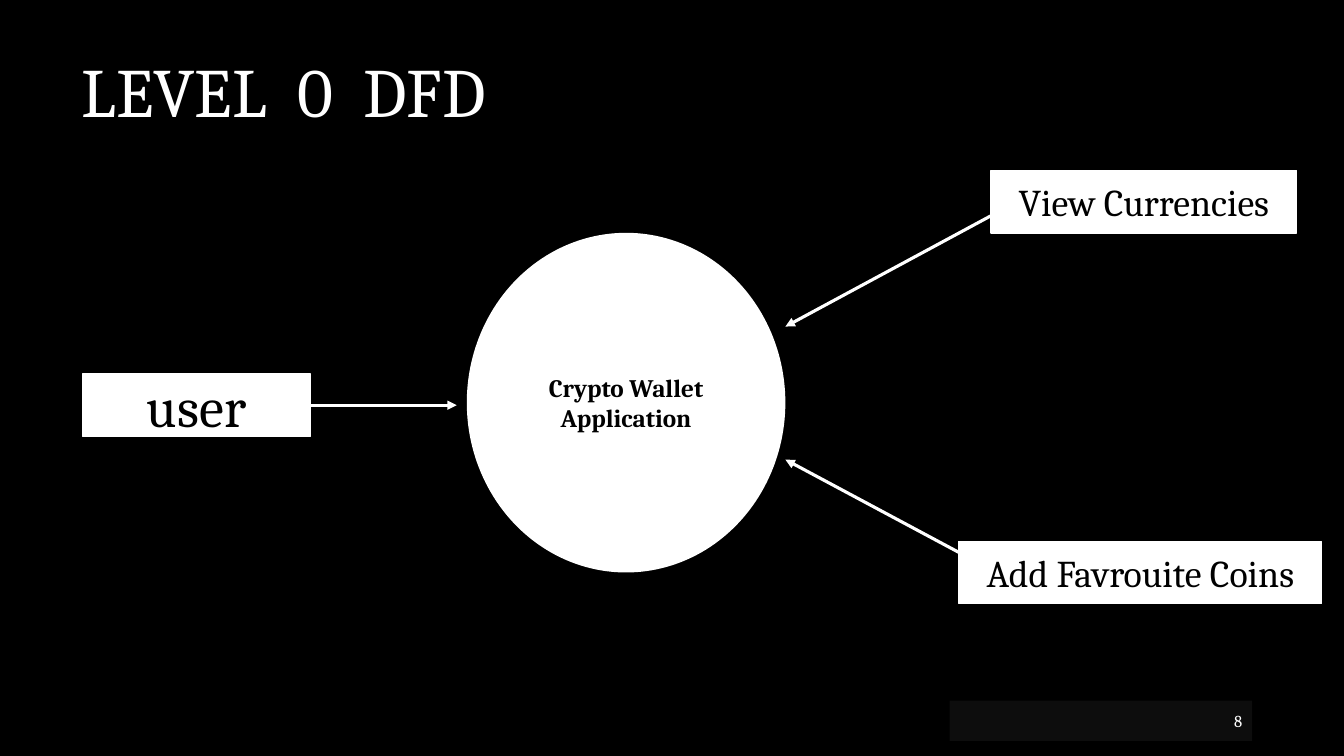
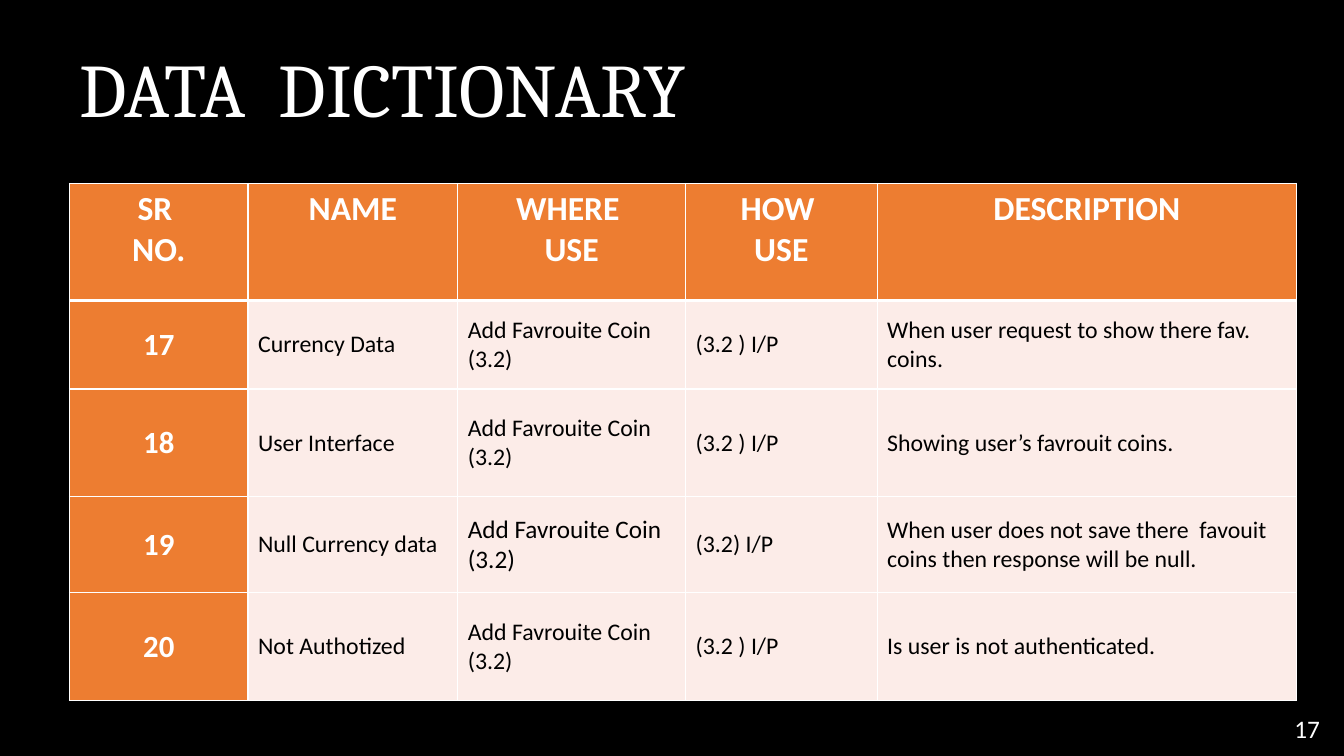
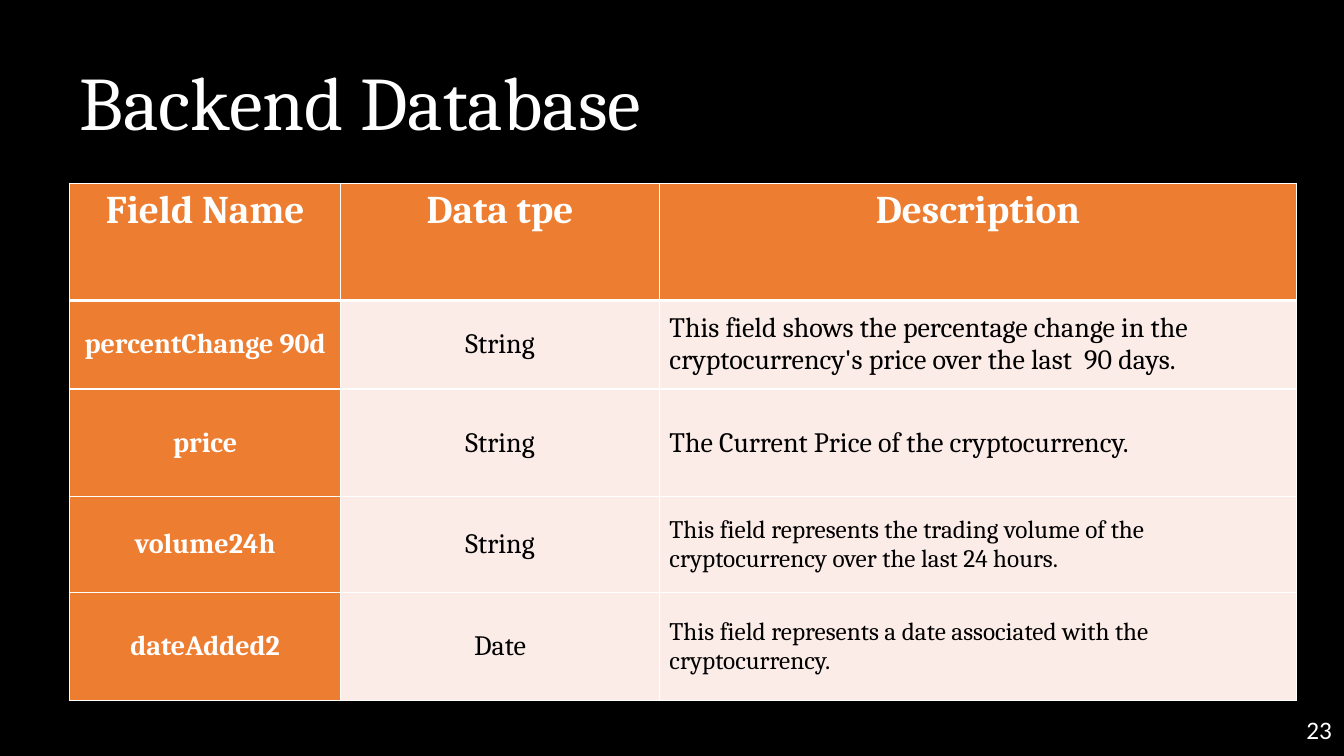
from dataclasses import dataclass

import lxml.etree
import pptx
import pptx.dml.color
import pptx.enum.shapes
import pptx.enum.text
import pptx.oxml.ns
import pptx.util

Inches = pptx.util.Inches
Pt = pptx.util.Pt
ALIGN = pptx.enum.text.PP_ALIGN
ANCHOR = pptx.enum.text.MSO_ANCHOR
SHAPE = pptx.enum.shapes.MSO_SHAPE


@dataclass(frozen=True)
class Theme:
    black: str = "000000"
    white: str = "FFFFFF"
    footer: str = "0D0D0D"
    orange: str = "ED7D31"
    blush: str = "FCECE8"
    serif: str = "Cambria"
    sans: str = "Calibri"
    title: float = 54
    title_small: float = 49.5
    user: float = 40
    label: float = 27
    process: float = 18
    page: float = 18
    page_small: float = 12
    grid: float = 1
    header_rule: float = 3
    arrow: float = 2.25


T = Theme()
TABLE_AT = (0.69, 1.82)
ROW_HEIGHTS = (1.16, 0.88, 1.07, 0.95, 1.07)
BOX_HEIGHT = 0.62


def rgb(value):
    return pptx.dml.color.RGBColor.from_string(value)


def add_xml(parent, tag, **attributes):
    return lxml.etree.SubElement(parent, pptx.oxml.ns.qn(tag), attributes)


def write(tf, text, size, color, font=T.serif, bold=False, align=ALIGN.LEFT, spacing=None):
    tf.word_wrap = True
    for i, line in enumerate(text.split("\n")):
        p = tf.paragraphs[0] if i == 0 else tf.add_paragraph()
        p.text = line
        p.alignment = align
        if spacing:
            p.line_spacing = spacing
        p.font.size = Pt(size)
        p.font.name = font
        p.font.bold = bold
        p.font.color.rgb = rgb(color)


def add_slide(prs):
    s = prs.slides.add_slide(prs.slide_layouts[6])
    s.background.fill.solid()
    s.background.fill.fore_color.rgb = rgb(T.black)
    return s


def add_title(s, text, at, size=T.title):
    tf = s.shapes.add_textbox(*map(Inches, at)).text_frame
    tf.vertical_anchor = ANCHOR.MIDDLE
    write(tf, text, size, T.white, spacing=0.9)


def add_page_number(s, text, left, top):
    tf = s.shapes.add_textbox(*map(Inches, (left, top, 0.47, 0.47))).text_frame
    write(tf, text, T.page, T.white, T.sans)


def add_block(s, kind, at, text, size, fill=T.white, color=T.black, line=None,
              bold=False, align=ALIGN.CENTER):
    sp = s.shapes.add_shape(kind, *map(Inches, at))
    sp.shadow.inherit = False
    sp.fill.solid()
    sp.fill.fore_color.rgb = rgb(fill)
    if line:
        sp.line.color.rgb = rgb(line)
        sp.line.width = Pt(1)
    else:
        sp.line.fill.background()
    sp.text_frame.vertical_anchor = ANCHOR.MIDDLE
    write(sp.text_frame, text, size, color, bold=bold, align=align)
    return sp


def add_entity(s, left, top, width, text, size=T.label):
    return add_block(s, SHAPE.RECTANGLE, (left, top, width, BOX_HEIGHT), text, size, line=T.white)


def add_arrow(s, start, end):
    c = s.shapes.add_connector(pptx.enum.shapes.MSO_CONNECTOR.STRAIGHT,
                               *map(Inches, start + end))
    c.line.color.rgb = rgb(T.white)
    c.line.width = Pt(T.arrow)
    add_xml(c.line._get_or_add_ln(), "a:tailEnd", type="triangle")
    add_xml(c._element.spPr, "a:effectLst")
    return c


def set_borders(cell, row):
    tc_pr = cell._tc.get_or_add_tcPr()
    heavy = {0: "B", 1: "T"}.get(row)
    for side in "LRTB":
        width = T.header_rule if side == heavy else T.grid
        ln = add_xml(tc_pr, f"a:ln{side}", w=str(Pt(width)))
        add_xml(add_xml(ln, "a:solidFill"), "a:srgbClr", val=T.white)


def add_grid(s, widths, rows, font, header_size, key_size, body_size, centered=(0,), sizes=None):
    sizes = sizes or {}
    frame = s.shapes.add_table(len(rows), len(widths), *map(
        Inches, TABLE_AT + (sum(widths), sum(ROW_HEIGHTS))))
    table = frame.table
    for column, width in zip(table.columns, widths):
        column.width = Inches(width)
    for row, height in zip(table.rows, ROW_HEIGHTS):
        row.height = Inches(height)
    for i, texts in enumerate(rows):
        for j, text in enumerate(texts):
            cell = table.cell(i, j)
            strong = i == 0 or j == 0
            size = header_size if i == 0 else key_size if j == 0 else body_size
            set_borders(cell, i)
            cell.fill.solid()
            cell.fill.fore_color.rgb = rgb(T.orange if strong else T.blush)
            cell.vertical_anchor = ANCHOR.TOP if i == 0 else ANCHOR.MIDDLE
            write(cell.text_frame, text, sizes.get((i, j), size),
                  T.white if strong else T.black, font, strong,
                  ALIGN.CENTER if i == 0 or j in centered else ALIGN.LEFT)


def build_dfd(prs):
    s = add_slide(prs)
    add_title(s, "LEVEL  0  DFD", (0.71, 0.71, 12.39, 0.47), T.title_small)
    add_block(s, SHAPE.RECTANGLE, (9.42, 6.95, 3, 0.4), "8", T.page_small,
              T.footer, T.white, align=ALIGN.RIGHT)
    add_block(s, SHAPE.OVAL, (4.63, 2.31, 3.16, 3.37), "Crypto Wallet\nApplication",
              T.process, bold=True)
    add_entity(s, 9.83, 1.69, 3.03, "View Currencies")
    user = add_entity(s, 0.82, 3.71, 2.26, "user", T.user)
    add_entity(s, 9.51, 5.37, 3.6, "Add Favrouite Coins")
    add_arrow(s, (3.08, 4.02), (4.53, 4.02)).begin_connect(user, 3)
    add_arrow(s, (9.83, 2.14), (7.79, 3.24))
    add_arrow(s, (9.51, 5.48), (7.79, 4.56))


def build_dictionary(prs):
    s = add_slide(prs)
    add_title(s, "DATA  DICTIONARY", (0.69, 0.69, 8.88, 0.47))
    where = "Add Favrouite Coin\n(3.2)"
    rows = [
        ("SR \nNO.", "NAME", "WHERE \nUSE", "HOW \nUSE", "DESCRIPTION"),
        ("17", "Currency Data", where, "(3.2 ) I/P",
         "When user request to show there fav. coins."),
        ("18", "User Interface", where, "(3.2 ) I/P", "Showing user’s favrouit coins."),
        ("19", "Null Currency data", where, "(3.2) I/P",
         "When user does not save there  favouit coins then response will be null."),
        ("20", "Not Authotized", where, "(3.2 ) I/P", "Is user is not authenticated."),
    ]
    add_grid(s, (1.77, 2.08, 2.26, 1.9, 4.16), rows, T.sans, 24, 22, 17, sizes={(3, 2): 18})
    add_page_number(s, "17", 12.74, 7.03)


def build_database(prs):
    s = add_slide(prs)
    add_title(s, "Backend Database", (0.69, 0.82, 8.88, 0.47))
    rows = [
        ("Field Name", "Data tpe", "Description"),
        ("percentChange 90d", "String",
         "This field shows the percentage change in the cryptocurrency's price "
         "over the last  90 days."),
        ("price", "String", "The Current Price of the cryptocurrency."),
        ("volume24h", "String",
         "This field represents the trading volume of the cryptocurrency over the last 24 hours."),
        ("dateAdded2", "Date",
         "This field represents a date associated with the cryptocurrency."),
    ]
    add_grid(s, (2.69, 3.16, 6.32), rows, T.serif, 28, 20, 20, centered=(0, 1),
             sizes={(3, 2): 18, (4, 2): 18})
    add_page_number(s, "23", 12.86, 7.04)


def main():
    prs = pptx.Presentation()
    prs.slide_width = Inches(13.33)
    prs.slide_height = Inches(7.5)
    build_dfd(prs)
    build_dictionary(prs)
    build_database(prs)
    prs.save("out.pptx")


if __name__ == "__main__":
    main()
